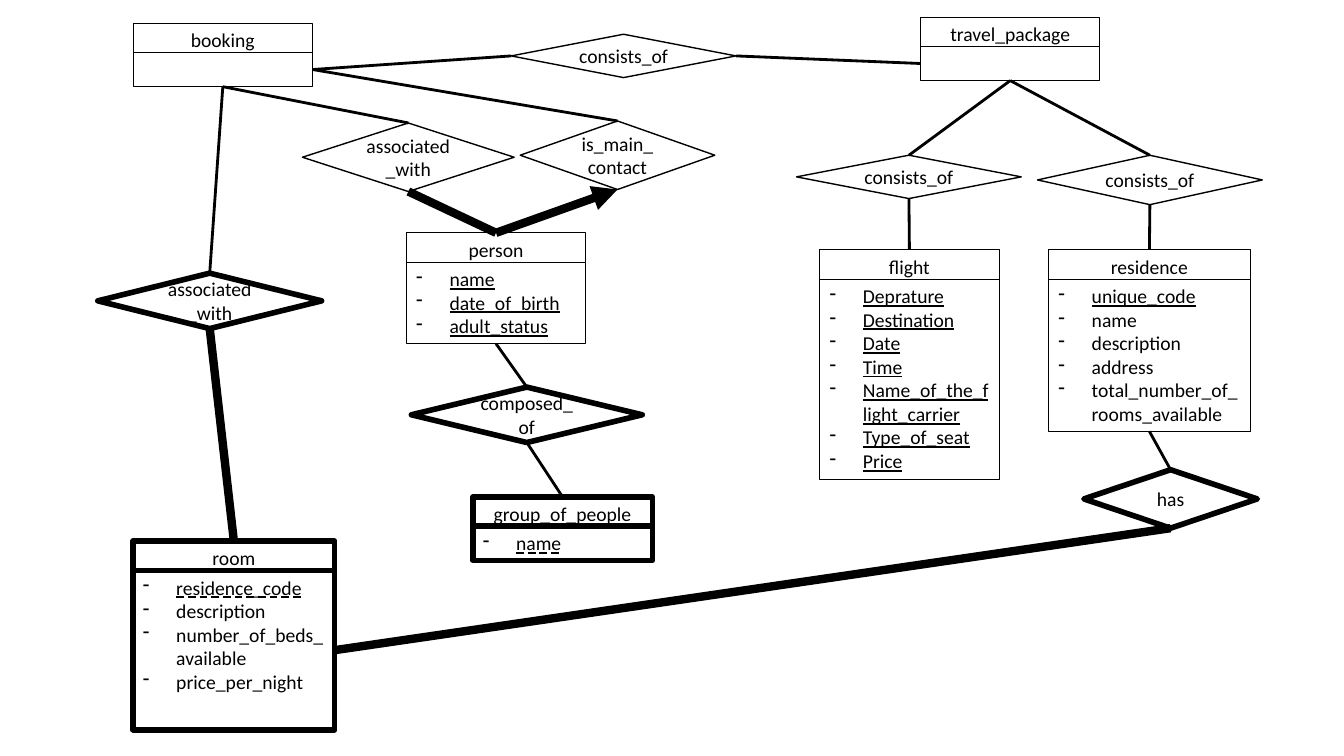
from collections import namedtuple
from dataclasses import dataclass

from lxml.etree import SubElement
from pptx import Presentation
from pptx.dml.color import RGBColor
from pptx.enum.shapes import MSO_CONNECTOR as Connector, MSO_SHAPE as Shape
from pptx.enum.text import MSO_ANCHOR as Anchor, MSO_UNDERLINE as Underline, PP_ALIGN as Align
from pptx.oxml.ns import qn
from pptx.util import Inches, Pt

TOP, LEFT, BOTTOM, RIGHT = range(4)
Entity = namedtuple("Entity", "head body")


@dataclass(frozen=True)
class Theme:
    ink: RGBColor = RGBColor(0, 0, 0)
    paper: RGBColor = RGBColor(255, 255, 255)
    font: str = "Calibri"
    text_size: float = 14
    entity_line: float = 0.75
    relation_line: float = 1
    weak_line: float = 4
    link_line: float = 2
    total_line: float = 6
    head_height: float = 0.34
    body_offset: float = 0.29
    indent: float = 0.33


class Diagram:
    def __init__(self, slide, theme):
        self.slide = slide
        self.theme = theme

    def format_text(self, paragraph, underline=False):
        for run in paragraph.runs:
            run.font.name = self.theme.font
            run.font.size = Pt(self.theme.text_size)
            run.font.color.rgb = self.theme.ink
            run.font.underline = underline

    def box(self, shapes, kind, bounds, weight, text=""):
        shape = shapes.add_shape(kind, *map(Inches, bounds))
        shape.shadow.inherit = False
        shape.fill.solid()
        shape.fill.fore_color.rgb = self.theme.paper
        shape.line.color.rgb = self.theme.ink
        shape.line.width = Pt(weight)
        frame = shape.text_frame
        frame.word_wrap = True
        frame.vertical_anchor = Anchor.MIDDLE if kind == Shape.DIAMOND else Anchor.TOP
        if text:
            frame.text = text
            frame.paragraphs[0].alignment = Align.CENTER
            self.format_text(frame.paragraphs[0])
        return shape

    def bullet(self, paragraph):
        properties = paragraph._p.get_or_add_pPr()
        indent = Inches(self.theme.indent)
        properties.set("marL", str(indent))
        properties.set("indent", str(-indent))
        SubElement(properties, qn("a:buFontTx"))
        SubElement(properties, qn("a:buChar")).set("char", "-")

    def entity(self, name, left, top, width, body_height, keys=(), attributes=(), weak=False):
        theme = self.theme
        shapes = self.slide.shapes.add_group_shape().shapes
        weight = theme.weak_line if weak else theme.entity_line
        head = self.box(shapes, Shape.RECTANGLE, (left, top, width, theme.head_height), weight, name)
        bounds = (left, top + theme.body_offset, width, body_height)
        body = self.box(shapes, Shape.RECTANGLE, bounds, weight)
        frame = body.text_frame
        key_style = Underline.DASH_LINE if weak else True
        for index, attribute in enumerate((*keys, *attributes)):
            paragraph = frame.add_paragraph() if index else frame.paragraphs[0]
            paragraph.text = attribute
            paragraph.alignment = Align.LEFT
            self.bullet(paragraph)
            self.format_text(paragraph, key_style if index < len(keys) else False)
        return Entity(head, body)

    def relation(self, name, bounds, weak=False):
        weight = self.theme.weak_line if weak else self.theme.relation_line
        return self.box(self.slide.shapes, Shape.DIAMOND, bounds, weight, name)

    def link(self, start, start_side, end, end_side, total=False, arrow=False):
        line = self.slide.shapes.add_connector(Connector.STRAIGHT, 0, 0, 0, 0)
        line.begin_connect(start, start_side)
        line.end_connect(end, end_side)
        line.line.color.rgb = self.theme.ink
        line.line.width = Pt(self.theme.total_line if total else self.theme.link_line)
        if arrow:
            SubElement(line.line._get_or_add_ln(), qn("a:tailEnd")).set("type", "triangle")
        SubElement(line._element.spPr, qn("a:effectLst"))


def draw(diagram):
    flight = diagram.entity(
        "flight", 8.13, 2.48, 1.78, 1.99,
        ("Deprature", "Destination", "Date", "Time",
         "Name_of_the_flight_carrier", "Type_of_seat", "Price"))
    package = diagram.entity("travel_package", 9.13, 0.17, 1.78, 0.34)
    residence = diagram.entity(
        "residence", 10.4, 2.48, 2, 1.51, ("unique_code",),
        ("name", "description", "address", "total_number_of_rooms_available"))
    room = diagram.entity(
        "room", 1.32, 5.37, 2, 1.58, ("residence_code",),
        ("description", "number_of_beds_available", "price_per_night"), weak=True)
    person = diagram.entity(
        "person", 4.03, 2.31, 1.78, 0.81, ("name", "date_of_birth", "adult_status"))
    group = diagram.entity("group_of_people", 4.69, 4.93, 1.78, 0.34, ("name",), weak=True)
    booking = diagram.entity("booking", 1.32, 0.23, 1.78, 0.34)

    package_flight = diagram.relation("consists_of", (7.9, 1.54, 2.23, 0.43))
    package_residence = diagram.relation("consists_of", (10.29, 1.54, 2.23, 0.49))
    booking_package = diagram.relation("consists_of", (5.07, 0.34, 2.23, 0.43))
    residence_room = diagram.relation("has", (10.75, 4.66, 1.72, 0.58), weak=True)
    booking_room = diagram.relation("associated_with", (0.97, 2.71, 2.22, 0.55), weak=True)
    person_group = diagram.relation("composed_of", (4.08, 3.84, 2.29, 0.55), weak=True)
    booking_person = diagram.relation("associated_with", (3, 1.22, 2.1, 0.68))
    main_contact = diagram.relation("is_main_contact", (5.16, 1.2, 1.93, 0.68))

    for start, start_side, end, end_side in (
        (booking.body, BOTTOM, booking_person, TOP),
        (booking.body, BOTTOM, booking_room, TOP),
        (booking.body, RIGHT, booking_package, LEFT),
        (booking.body, RIGHT, main_contact, TOP),
        (package.body, LEFT, booking_package, RIGHT),
        (package.body, BOTTOM, package_flight, TOP),
        (package.body, BOTTOM, package_residence, TOP),
        (package_flight, BOTTOM, flight.head, TOP),
        (package_residence, BOTTOM, residence.head, TOP),
        (residence.body, BOTTOM, residence_room, TOP),
        (person.body, BOTTOM, person_group, TOP),
        (person_group, BOTTOM, group.head, TOP),
    ):
        diagram.link(start, start_side, end, end_side)

    diagram.link(residence_room, BOTTOM, room.body, RIGHT, total=True)
    diagram.link(room.head, TOP, booking_room, BOTTOM, total=True)
    diagram.link(person.head, TOP, booking_person, BOTTOM, total=True)
    diagram.link(person.head, TOP, main_contact, BOTTOM, total=True, arrow=True)


def main():
    presentation = Presentation()
    presentation.slide_width = Inches(13.33)
    presentation.slide_height = Inches(7.5)
    slide = presentation.slides.add_slide(presentation.slide_layouts[6])
    draw(Diagram(slide, Theme()))
    presentation.save("out.pptx")


if __name__ == "__main__":
    main()
